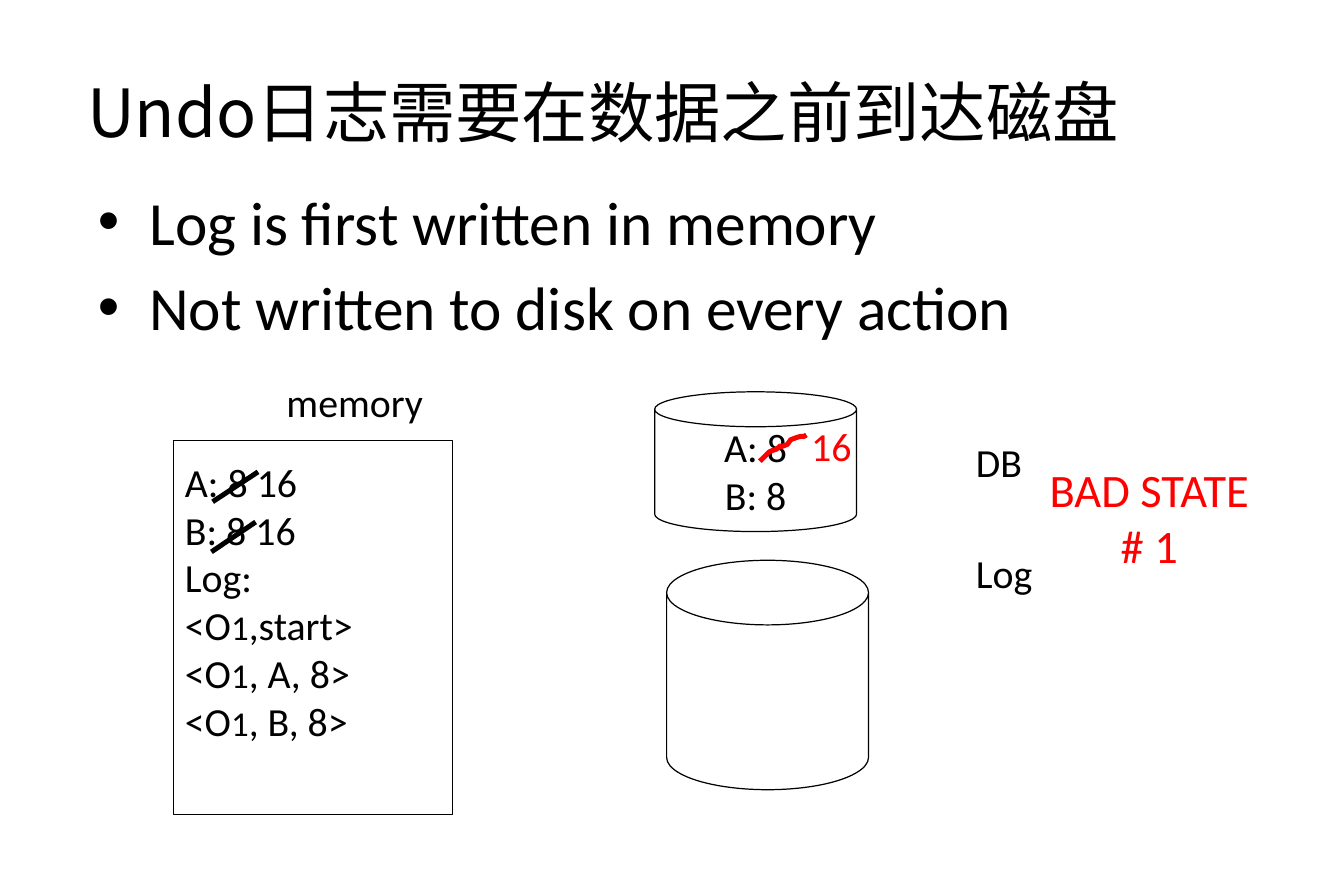
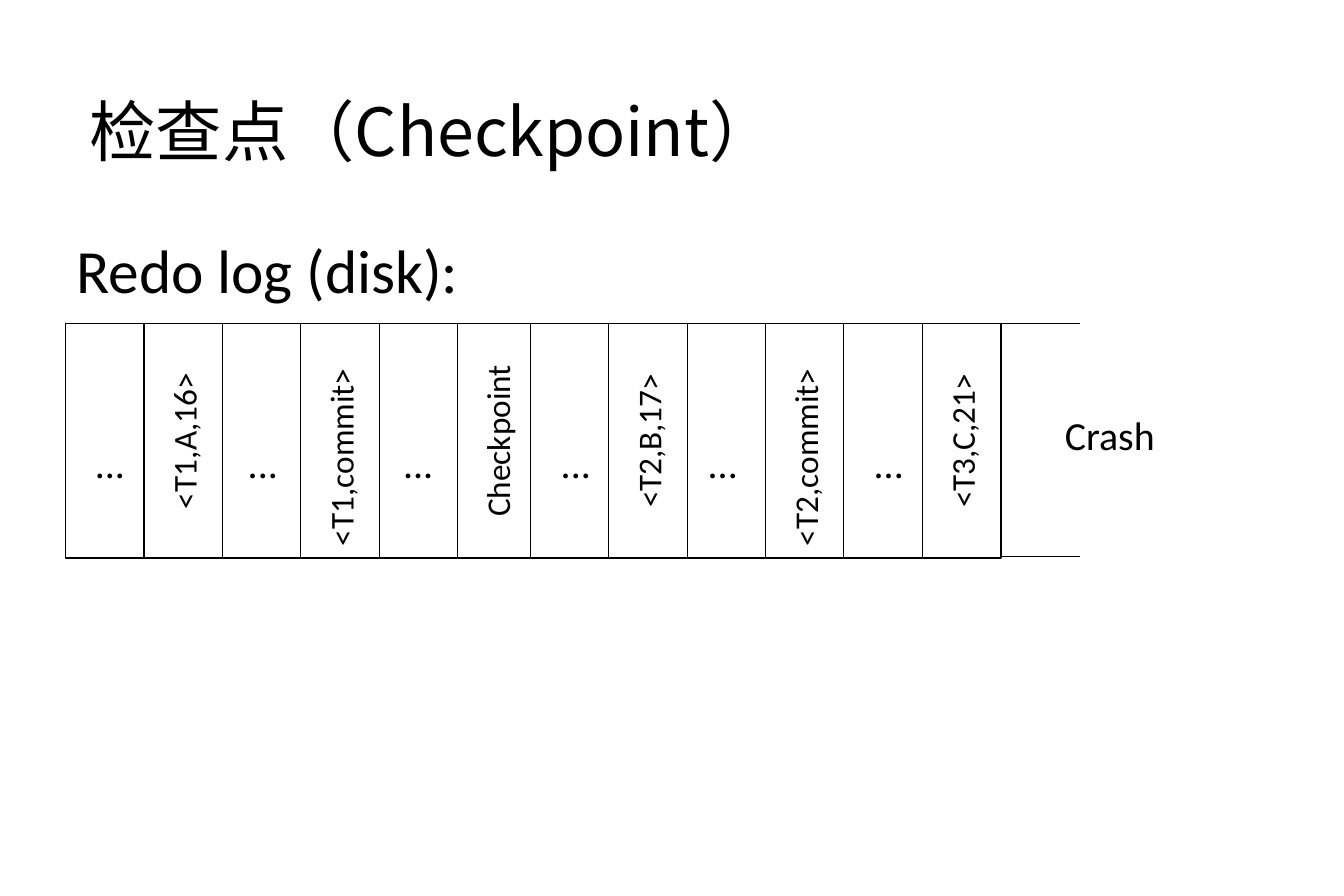
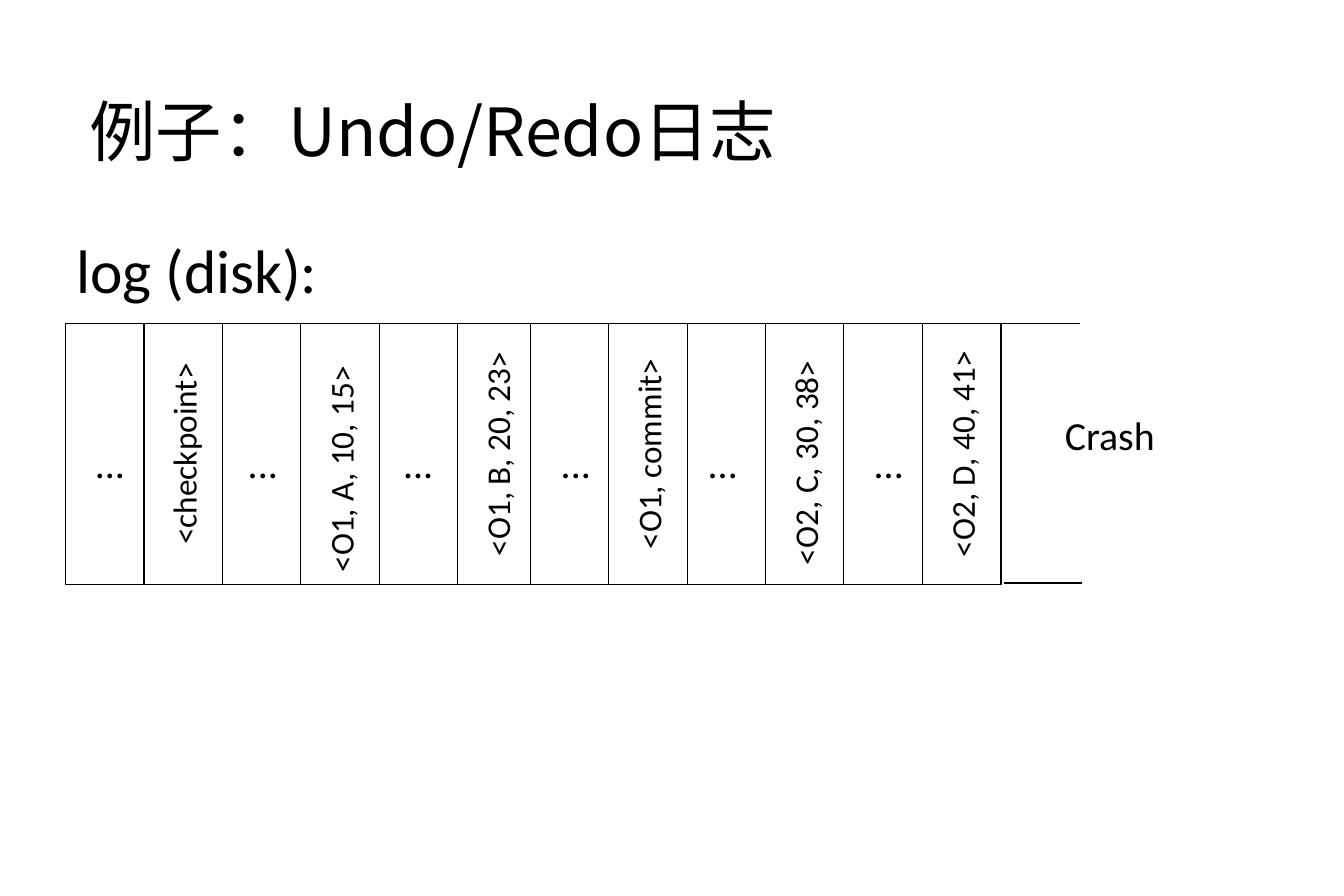
import pptx
import pptx.util
import pptx.oxml.ns
from pptx.dml.color import RGBColor
from pptx.enum.shapes import MSO_CONNECTOR, MSO_SHAPE
from pptx.enum.text import MSO_ANCHOR, MSO_AUTO_SIZE, PP_ALIGN
from lxml import etree

Inches, Pt = pptx.util.Inches, pptx.util.Pt

# Shared style
BLACK = RGBColor(0, 0, 0)
WHITE = RGBColor(255, 255, 255)
RED = RGBColor(255, 0, 0)
FONT = "Calibri"
HEAD = "Noto Sans CJK SC"
LEFT, MID = PP_ALIGN.LEFT, PP_ALIGN.CENTER

# Log strip: two groups of six cells
TOP = 2.71
WIDE = 0.66
PITCH = 3.28 / 5
STARTS = (0.55, 4.44)
DOTS = (0.92, 2.2, 3.5, 4.82, 6.05, 7.44)


def tag(node, name, **attrs):
    return etree.SubElement(node, pptx.oxml.ns.qn(name), **attrs)


def fill_text(frame, paras, size, color=BLACK, align=LEFT, bullet=False):
    """Each paragraph is a list of runs: a text, or (text, size)."""
    for i, runs in enumerate(paras):
        para = frame.paragraphs[0] if i == 0 else frame.add_paragraph()
        para.alignment = align
        if bullet:
            props = para._p.get_or_add_pPr()
            props.set("marL", str(Inches(0.43)))
            props.set("indent", str(-Inches(0.43)))
            tag(props, "a:buFont", typeface="Arial")
            tag(props, "a:buChar", char="•")
            if i:
                para.space_before = Pt(7)
        for item in runs:
            text, points = (item, size) if isinstance(item, str) else item
            run = para.add_run()
            run.text = text
            run.font.name = FONT
            run.font.size = Pt(points)
            run.font.color.rgb = color


def add_title(deck, text, left, top):
    slide = deck.slides.add_slide(deck.slide_layouts[5])
    title = slide.shapes.title
    title.left, title.top = Inches(left), Inches(top)
    title.width, title.height = Inches(9.56), Inches(1.25)
    frame = title.text_frame
    frame.auto_size = MSO_AUTO_SIZE.NONE
    frame.vertical_anchor = MSO_ANCHOR.MIDDLE
    frame.margin_left = frame.margin_right = Inches(0.12)
    para = frame.paragraphs[0]
    para.alignment = LEFT
    run = para.add_run()
    run.text = text
    run.font.size = Pt(40)
    run.font.color.rgb = BLACK
    run.font.name = HEAD
    tag(run.font._element, "a:ea", typeface=HEAD)
    return slide


def add_body(slide, paras, left, top, high, bullet=False):
    box = slide.shapes.add_textbox(
        Inches(left), Inches(top), Inches(9.56), Inches(high))
    frame = box.text_frame
    frame.word_wrap = True
    frame.margin_left = frame.margin_right = Inches(0.12)
    frame.margin_top = frame.margin_bottom = Inches(0.06)
    fill_text(frame, paras, 37, bullet=bullet)


def add_label(slide, paras, left, top, wide, high=0.5, size=24,
              color=BLACK, align=MID):
    box = slide.shapes.add_textbox(
        Inches(left), Inches(top), Inches(wide), Inches(high))
    frame = box.text_frame
    frame.word_wrap = True
    frame.vertical_anchor = MSO_ANCHOR.MIDDLE
    fill_text(frame, paras, size, color, align)


def add_box(slide, kind, left, top, wide, high):
    shape = slide.shapes.add_shape(
        kind, Inches(left), Inches(top), Inches(wide), Inches(high))
    shape.shadow.inherit = False
    shape.fill.solid()
    shape.fill.fore_color.rgb = WHITE
    shape.line.color.rgb = BLACK
    shape.line.width = Pt(0.75)
    shape.text_frame.vertical_anchor = MSO_ANCHOR.MIDDLE
    return shape


def add_line(slide, x1, y1, x2, y2, width=0.75):
    line = slide.shapes.add_connector(
        MSO_CONNECTOR.STRAIGHT, Inches(x1), Inches(y1), Inches(x2), Inches(y2))
    line.line.color.rgb = BLACK
    line.line.width = Pt(width)
    tag(line._element.spPr, "a:effectLst")


def add_curve(slide, start, curves):
    """Draw joined cubic curves as a fine open outline."""
    points, here = [], start
    for a, b, end in curves:
        for step in range(1, 7):
            t = step / 6
            points.append(tuple(
                Inches((1 - t) ** 3 * p + 3 * t * (1 - t) ** 2 * q
                       + 3 * t * t * (1 - t) * r + t ** 3 * s)
                for p, q, r, s in zip(here, a, b, end)))
        here = end
    build = slide.shapes.build_freeform(Inches(start[0]), Inches(start[1]))
    build.add_line_segments(points, close=False)
    shape = build.convert_to_shape()
    shape.shadow.inherit = False
    shape.fill.background()
    shape.line.color.rgb = RED
    shape.line.width = Pt(3)


def add_strip(slide, names, high, lefts=()):
    """Draw cells with upright text; every other cell holds dots."""
    for i in range(12):
        group, place = divmod(i, 6)
        center = STARTS[group] + place * PITCH + WIDE / 2
        cell = add_box(slide, MSO_SHAPE.RECTANGLE, center - high / 2,
                       TOP + (high - WIDE) / 2, high, WIDE)
        cell.rotation = 270
        if i % 2:
            align = LEFT if i in lefts else MID
            fill_text(cell.text_frame, [[names[i // 2]]], 20, align=align)
    for center in DOTS:
        add_label(slide, [["..."]], center - 0.28, 3.62, 0.56)
    add_label(slide, [["Crash"]], 8.81, 3.39, 0.96)


def undo_slide(deck):
    slide = add_title(deck, "Undo日志需要在数据之前到达磁盘", 0.61, 0.3)
    add_body(slide, [["Log is first written in memory"],
                     ["Not written to disk on every action"]],
             0.7, 1.48, 1.6, bullet=True)
    for text, left, top in (("memory", 2.3, 3.11), ("DB", 8.07, 3.61),
                            ("Log", 8.07, 4.54)):
        add_label(slide, [[text]], left, top, 1.4, align=LEFT)

    # Memory
    memory = add_box(slide, MSO_SHAPE.RECTANGLE, 1.45, 3.69, 2.34, 3.13)
    memory.text_frame.vertical_anchor = MSO_ANCHOR.TOP
    memory.text_frame.margin_top = Inches(0.14)
    paras = [["A: 8 16"], ["B: 8 16"], ["Log:"]]
    paras += [["<O", ("1", 21), rest]
              for rest in (",start>", ", A, 8>", ", B, 8>")]
    fill_text(memory.text_frame, paras, 24)
    add_line(slide, 2.16, 3.95, 1.78, 4.2, 3)
    add_line(slide, 2.14, 4.37, 1.77, 4.62, 3)

    # Disks
    data = add_box(slide, MSO_SHAPE.CAN, 5.48, 3.28, 1.69, 1.17)
    data.adjustments[0] = 0.25
    data.text_frame.word_wrap = False
    fill_text(data.text_frame, [["A: 8"], ["B: 8"]], 24, align=MID)
    log = add_box(slide, MSO_SHAPE.CAN, 5.58, 4.69, 1.69, 1.92)
    log.adjustments[0] = 0.32

    # Bad state in red
    add_curve(slide, (6.36, 3.86), [
        ((6.46, 3.77), (6.41, 3.79), (6.5, 3.76)),
        ((6.58, 3.69), (6.48, 3.77), (6.59, 3.72)),
        ((6.6, 3.71), (6.61, 3.69), (6.62, 3.68)),
        ((6.77, 3.62), (6.69, 3.68), (6.75, 3.64))])
    add_label(slide, [["16"]], 6.66, 3.48, 0.6, color=RED)
    add_label(slide, [["BAD STATE"], ["# 1"]], 8.62, 3.81, 2, 1.04,
              size=28, color=RED)


def check_slide(deck):
    slide = add_title(deck, "检查点（Checkpoint）", 0.63, 0.46)
    add_body(slide, [["Redo log (disk):"]], 0.52, 1.88, 0.8)
    add_strip(slide, ["<T1,A,16>", "<T1,commit>", "Checkpoint", "<T2,B,17>",
                      "<T2,commit>", "<T3,C,21>"], 1.96, (3, 9))
    add_line(slide, 8.38, TOP, 9.04, TOP)
    add_line(slide, 8.38, 4.66, 9.04, 4.66)


def sample_slide(deck):
    slide = add_title(deck, "例子：Undo/Redo日志", 0.63, 0.46)
    add_body(slide, [["log (disk):"]], 0.52, 1.88, 0.8)
    add_strip(slide, ["<checkpoint>", "<O1, A, 10, 15>", "<O1, B, 20, 23>",
                      "<O1, commit>", " <O2, C, 30, 38>", "<O2, D, 40, 41>"],
              2.18, (3, 9))
    add_line(slide, 8.38, TOP, 9.04, TOP)
    add_line(slide, 8.4, 4.88, 9.06, 4.88)


def main():
    deck = pptx.Presentation()
    deck.slide_width, deck.slide_height = Inches(11.25), Inches(7.5)
    undo_slide(deck)
    check_slide(deck)
    sample_slide(deck)
    deck.save("out.pptx")


if __name__ == "__main__":
    main()
